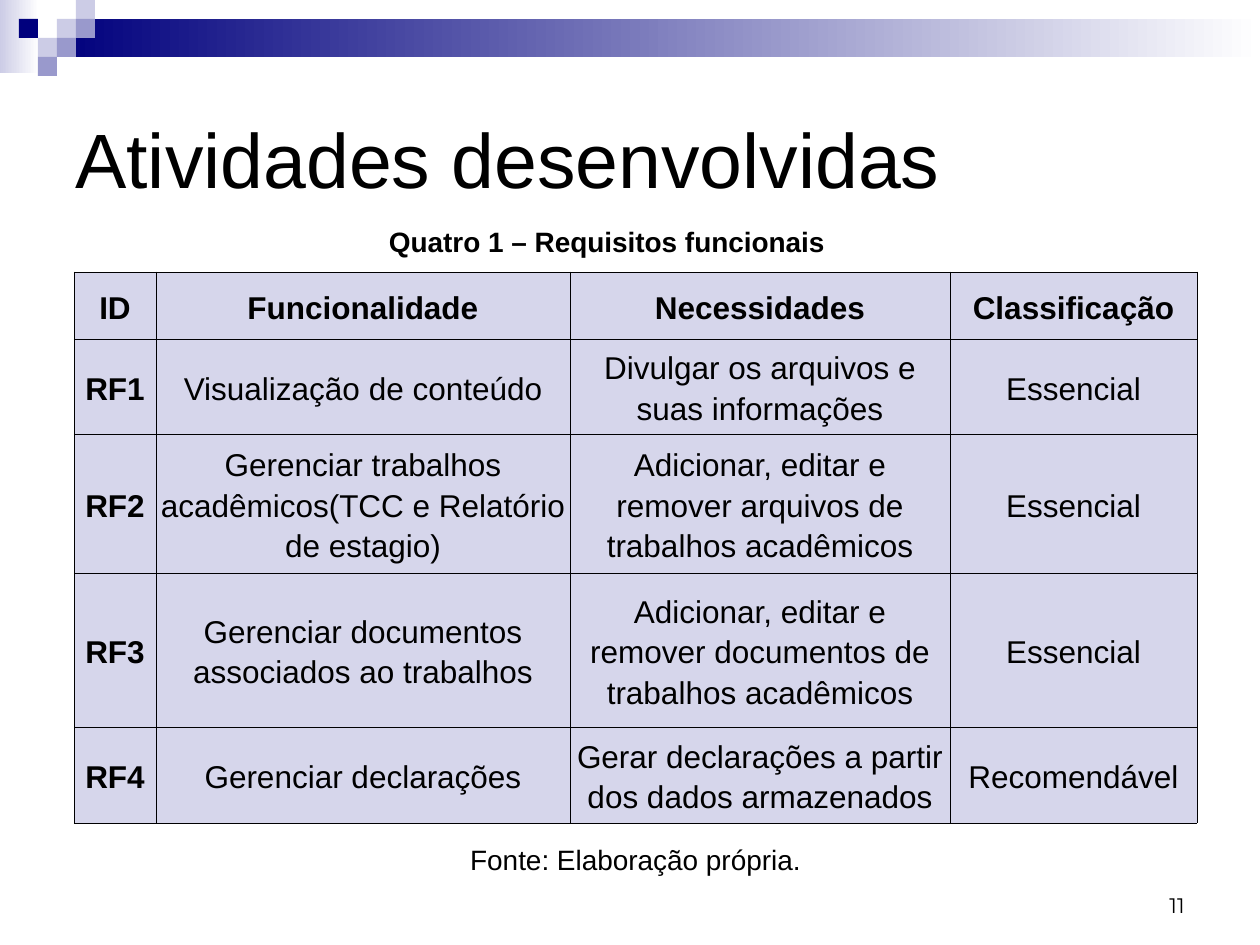
from lxml import etree
from pptx import Presentation
from pptx import util as u
from pptx.dml.color import RGBColor
from pptx.enum import shapes, text
from pptx.oxml.ns import qn

BLACK = RGBColor(0x00, 0x00, 0x00)
WHITE = RGBColor(0xFF, 0xFF, 0xFF)
NAVY = RGBColor(0x00, 0x00, 0x7D)
LILAC = RGBColor(0xCC, 0xCC, 0xE6)
VIOLET = RGBColor(0x99, 0x99, 0xCC)
CELL = RGBColor(0xD6, 0xD6, 0xEB)
BORDER = RGBColor(0x00, 0x00, 0x01)

LEFT, CENTER, RIGHT = text.PP_ALIGN.LEFT, text.PP_ALIGN.CENTER, text.PP_ALIGN.RIGHT
TOP, MIDDLE, BOTTOM = text.MSO_ANCHOR.TOP, text.MSO_ANCHOR.MIDDLE, text.MSO_ANCHOR.BOTTOM

GRADIENT_BARS = [
    ((0, 0, 39, 73), LILAC),
    ((57, 19, 1203, 38), NAVY),
]
SQUARE = 19
SQUARES = [
    (3, 1, LILAC), (4, 0, LILAC), (4, 1, VIOLET), (2, 2, LILAC),
    (1, 1, NAVY), (3, 2, VIOLET), (2, 3, VIOLET),
]

TEXTS = [
    ("Atividades desenvolvidas", (63, 63, 1134, 189), LEFT, MIDDLE, 1,
     dict(size=u.Pt(44), name="Arial", bold=False)),
    ("11", (903, 861, 294, 63), RIGHT, BOTTOM, 1,
     dict(size=u.Pt(12), name="Montserrat", bold=False)),
    ("Quatro 1 – Requisitos funcionais", (220, 218, 774, 47), CENTER, TOP, 1,
     dict(size=u.Pt(16), name="Arial", bold=True)),
    ("Fonte: Elaboração própria.", (451, 820, 369, 63), CENTER, TOP, 1.5,
     dict(size=u.Pt(16), name="Arial", bold=False)),
]

TABLE_LEFT, TABLE_TOP = 74, 272
COL_WIDTHS = [82, 414, 380, 247]
ROW_HEIGHTS = [67, 95, 139, 154, 96]
REQUIREMENTS = [
    ("ID", "Funcionalidade", "Necessidades", "Classificação"),
    ("RF1", "Visualização de conteúdo",
     "Divulgar os arquivos e suas informações", "Essencial"),
    ("RF2", "Gerenciar trabalhos acadêmicos(TCC e Relatório de estagio)",
     "Adicionar, editar e remover arquivos de trabalhos acadêmicos", "Essencial"),
    ("RF3", "Gerenciar documentos associados ao trabalhos",
     "Adicionar, editar e remover documentos de trabalhos acadêmicos", "Essencial"),
    ("RF4", "Gerenciar declarações",
     "Gerar declarações a partir dos dados armazenados", "Recomendável"),
]


def px(n):
    return u.Emu(round(n * 914400 / 126))


def add_rect(s, box):
    sp = s.shapes.add_shape(shapes.MSO_SHAPE.RECTANGLE, *map(px, box))
    sp.shadow.inherit = False
    sp.line.fill.background()
    return sp


def write(tf, words, align, spacing, font):
    p = tf.paragraphs[0]
    p.alignment = align
    p.line_spacing = spacing
    r = p.add_run()
    r.text = words
    r.font.color.rgb = BLACK
    for key, value in font.items():
        setattr(r.font, key, value)


def add_borders(cell):
    tc_pr = cell._tc.get_or_add_tcPr()
    for i, side in enumerate(("lnL", "lnR", "lnT", "lnB")):
        ln = etree.Element(qn("a:" + side), w=str(u.Pt(0.34)))
        fill = etree.SubElement(ln, qn("a:solidFill"))
        etree.SubElement(fill, qn("a:srgbClr"), val=str(BORDER))
        tc_pr.insert(i, ln)


def add_header(s):
    for box, color in GRADIENT_BARS:
        fill = add_rect(s, box).fill
        fill.gradient()
        fill.gradient_angle = 0
        for stop, rgb, position in zip(fill.gradient_stops, (color, WHITE), (0, 1)):
            stop.color.rgb = rgb
            stop.position = position
    for col, row, color in SQUARES:
        sp = add_rect(s, (col * SQUARE, row * SQUARE, SQUARE, SQUARE))
        sp.fill.solid()
        sp.fill.fore_color.rgb = color


def add_texts(s):
    for words, box, align, anchor, spacing, font in TEXTS:
        tf = s.shapes.add_textbox(*map(px, box)).text_frame
        tf.word_wrap = True
        tf.vertical_anchor = anchor
        write(tf, words, align, spacing, font)


def add_requirements(s):
    box = (TABLE_LEFT, TABLE_TOP, sum(COL_WIDTHS), sum(ROW_HEIGHTS))
    table = s.shapes.add_table(len(ROW_HEIGHTS), len(COL_WIDTHS), *map(px, box)).table
    for col, width in zip(table.columns, COL_WIDTHS):
        col.width = px(width)
    for row, height in zip(table.rows, ROW_HEIGHTS):
        row.height = px(height)
    cell_format = dict(vertical_anchor=MIDDLE, margin_left=px(3), margin_right=px(3),
                       margin_top=px(6), margin_bottom=px(6))
    for i, row in enumerate(REQUIREMENTS):
        for j, words in enumerate(row):
            cell = table.cell(i, j)
            for key, value in cell_format.items():
                setattr(cell, key, value)
            cell.fill.solid()
            cell.fill.fore_color.rgb = CELL
            add_borders(cell)
            font = dict(size=u.Pt(18), name="Arial", bold=i == 0 or j == 0)
            write(cell.text_frame, words, CENTER, 1.15, font)


def main():
    prs = Presentation()
    prs.slide_width, prs.slide_height = px(1260), px(945)
    s = prs.slides.add_slide(prs.slide_layouts[6])
    add_header(s)
    add_requirements(s)
    add_texts(s)
    prs.save("out.pptx")


if __name__ == "__main__":
    main()
